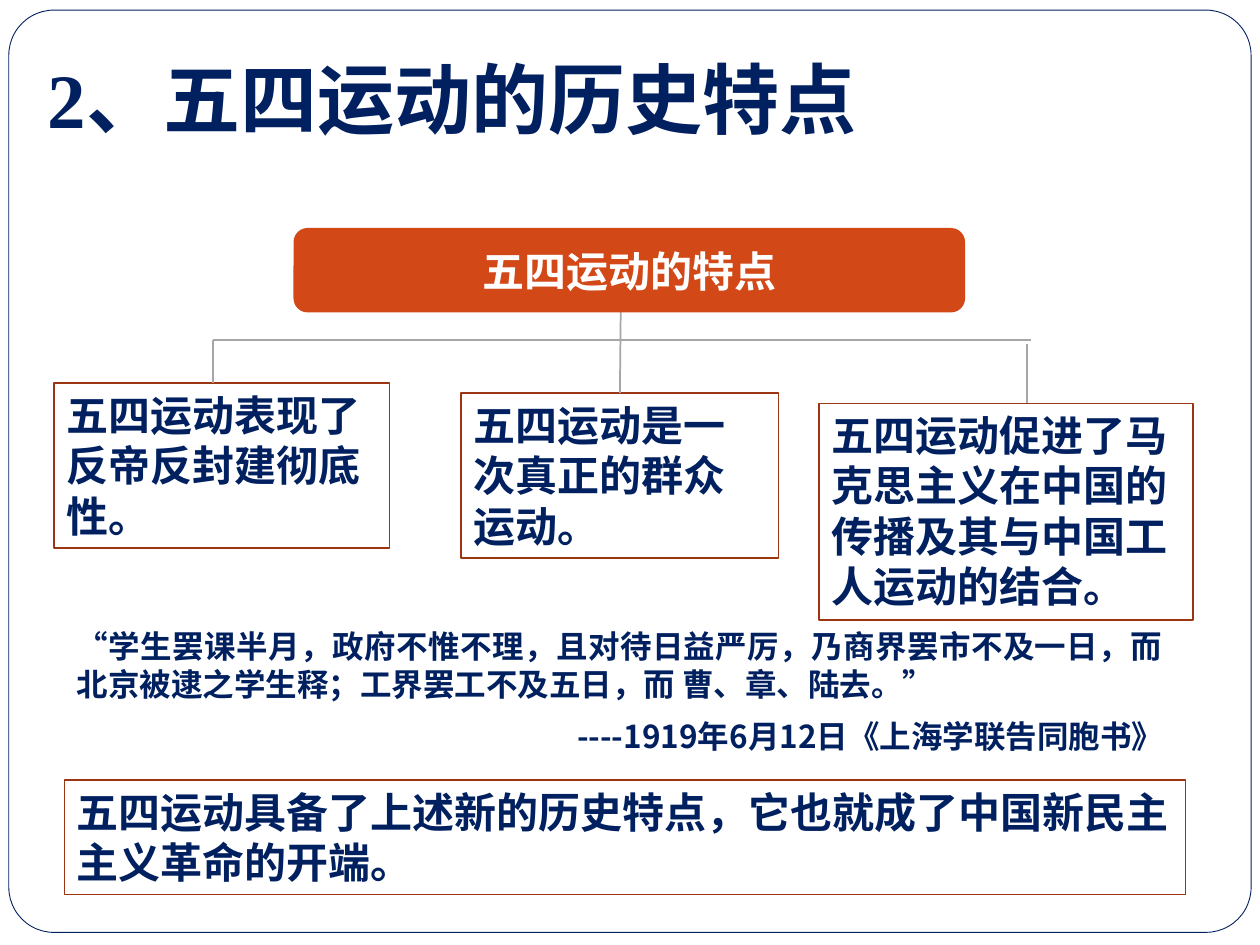
from lxml.etree import SubElement
from pptx import Presentation
from pptx.dml.color import RGBColor
from pptx.enum.lang import MSO_LANGUAGE_ID as Lang
from pptx.enum.shapes import MSO_CONNECTOR as Connector, MSO_SHAPE as Shape
from pptx.enum.text import MSO_ANCHOR as Anchor, PP_ALIGN as Align
from pptx.oxml.ns import qn
from pptx.util import Inches, Pt

NAVY, RUST, BROWN, GREY, WHITE = "002060", "D34817", "9C3511", "A6A6A6", "FFFFFF"
SERIF, SANS, CJK = "Times New Roman", "Cabin", "Noto Sans CJK JP"


def paint(fill, colour):
    fill.solid()
    fill.fore_color.rgb = RGBColor.from_string(colour)


def write(para, text, size=24, font=SERIF, colour=NAVY, align=Align.LEFT):
    """Add one bold run of text to a paragraph."""
    para.alignment = align
    span = para.add_run()
    span.text = text
    span.font.size, span.font.bold, span.font.name = Pt(size), True, font
    span.font.language_id = Lang.SIMPLIFIED_CHINESE
    paint(span.font.fill, colour)
    SubElement(span.font._element, qn("a:ea"), typeface=CJK)


deck = Presentation()
deck.slide_width, deck.slide_height = Inches(10), Inches(7.5)
page = deck.slides.add_slide(deck.slide_layouts[5])
shapes = page.shapes

# Rounded page frame, placed behind the title
frame = shapes.add_shape(Shape.ROUNDED_RECTANGLE, *map(Inches, (0.07, 0.08, 9.86, 7.32)))
frame.adjustments[0] = 0.049
frame.shadow.inherit = False
paint(frame.fill, WHITE)
paint(frame.line.fill, NAVY)
frame.line.width = Pt(0.5)

title = shapes.title
title.left, title.top, title.width, title.height = map(Inches, (0.28, 0.36, 8.5, 0.83))
title.text_frame.vertical_anchor = Anchor.TOP
write(title.text_frame.paragraphs[0], "2", size=44)
write(title.text_frame.paragraphs[0], "、五四运动的历史特点", size=44, font=SANS)
shapes._spTree.remove(title._element)
shapes._spTree.append(title._element)

# Three features and the conclusion, each in an outlined box
statements = [
    (0.43, 3.04, 2.66, 1.31, "五四运动表现了反帝反封建彻底性。"),
    (3.66, 3.12, 2.52, 1.31, "五四运动是一次真正的群众运动。"),
    (6.5, 3.2, 2.97, 1.72, "五四运动促进了马克思主义在中国的传播及其与中国工人运动的结合。"),
    (0.51, 6.19, 8.9, 0.91, "五四运动具备了上述新的历史特点，它也就成了中国新民主主义革命的开端。"),
]
boxes = []
for *place, text in statements:
    box = shapes.add_shape(Shape.RECTANGLE, *map(Inches, place))
    box.shadow.inherit = False
    box.fill.background()
    paint(box.line.fill, BROWN)
    box.line.width = Pt(0.75)
    box.text_frame.word_wrap = True
    box.text_frame.vertical_anchor = Anchor.TOP
    write(box.text_frame.paragraphs[0], text)
    boxes.append(box)

# Tree lines: trunk, crossbar, left and right branches
branches = [
    (4.92, 3.12, 4.93, 2.13),
    (1.69, 2.7, 8.18, 2.7),
    (1.69, 3.04, 1.69, 2.7),
    (8.15, 3.2, 8.15, 2.73),
]
lines = []
for ends in branches:
    line = shapes.add_connector(Connector.STRAIGHT, *map(Inches, ends))
    paint(line.line.fill, GREY)
    line.line.width = Pt(1)
    SubElement(line._element.spPr, qn("a:effectLst"))
    lines.append(line)
lines[0].begin_connect(boxes[1], 0)

# The heading of the tree covers the top of the trunk
root = shapes.add_shape(Shape.ROUNDED_RECTANGLE, *map(Inches, (2.33, 1.81, 5.33, 0.67)))
root.shadow.inherit = False
paint(root.fill, RUST)
root.line.fill.background()
root.text_frame.vertical_anchor = Anchor.MIDDLE
write(root.text_frame.paragraphs[0], "五四运动的特点", colour=WHITE, align=Align.CENTER)

quote = shapes.add_textbox(*map(Inches, (0.51, 4.93, 8.82, 1.12))).text_frame
quote.word_wrap = True
write(quote.paragraphs[0],
      "“学生罢课半月，政府不惟不理，且对待日益严厉，乃商界罢市不及一日，而北京被逮之学生释；"
      "工界罢工不及五日，而 曹、章、陆去。”",
      size=18, font=CJK, align=Align.JUSTIFY)
source = quote.add_paragraph()
source.space_before = Pt(8)
write(source, "----1919年6月12日《上海学联告同胞书》", size=18, font=CJK, align=Align.RIGHT)

deck.save("out.pptx")
